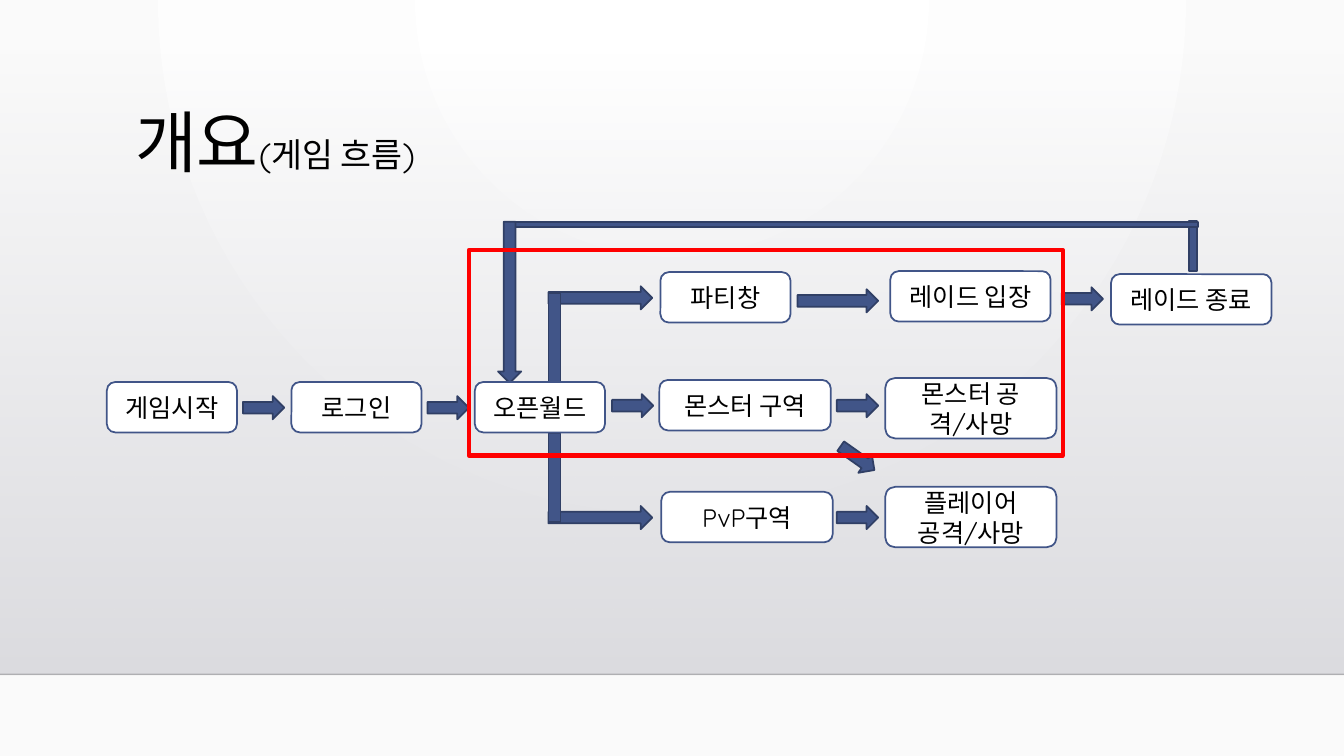
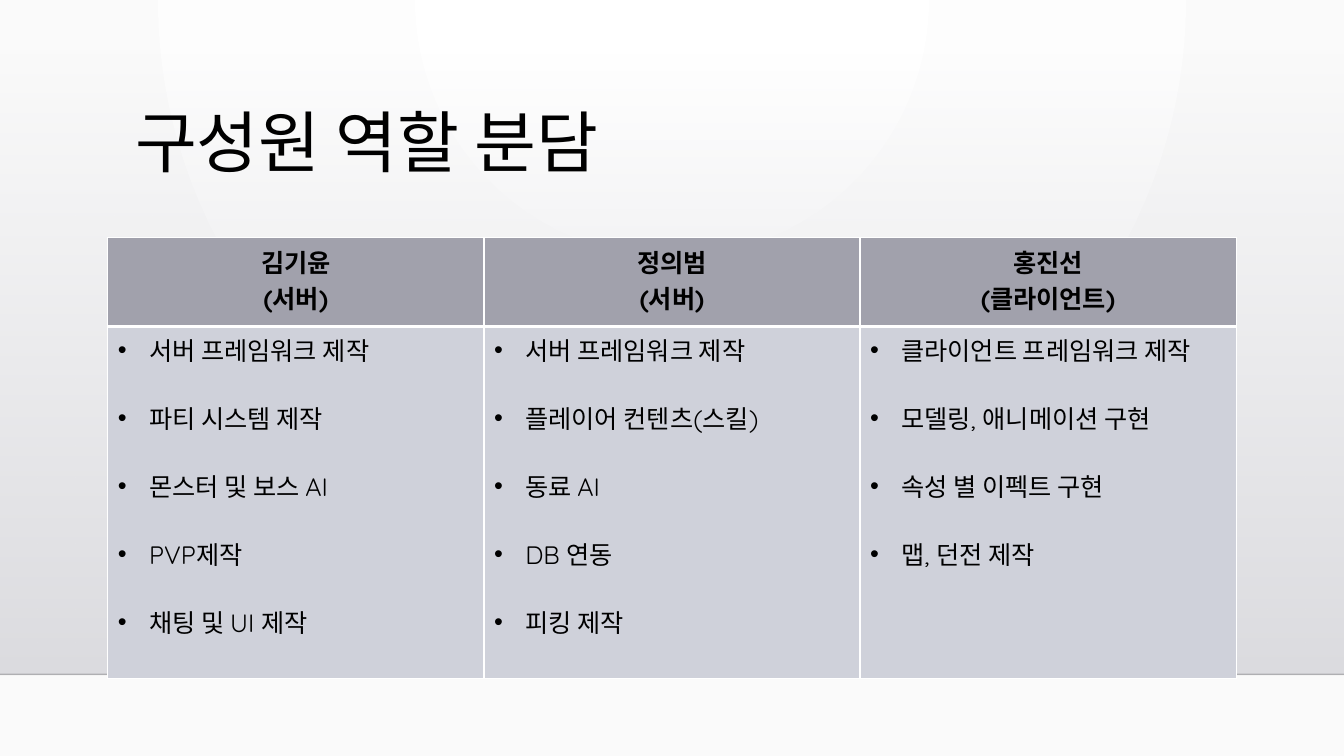
from dataclasses import dataclass

import lxml.etree
import pptx
import pptx.dml.color
import pptx.enum.shapes
import pptx.enum.text
import pptx.oxml
import pptx.oxml.ns
import pptx.util

Inches = pptx.util.Inches
Pt = pptx.util.Pt
RGB = pptx.dml.color.RGBColor.from_string
SHAPE = pptx.enum.shapes.MSO_SHAPE
ALIGN = pptx.enum.text.PP_ALIGN
ANCHOR = pptx.enum.text.MSO_ANCHOR
qn = pptx.oxml.ns.qn


@dataclass(frozen=True)
class Theme:
    font: str = "Quicksand"
    text: str = "000000"
    white: str = "FFFFFF"
    page_edge: str = "FAFAFA"
    band_top: str = "DCDCE0"
    band_bottom: str = "DEDEE2"
    rule: str = "000001"
    flow: str = "415588"
    flow_edge: str = "303F65"
    highlight: str = "FF0000"
    table_head: str = "A1A1AC"
    table_body: str = "CFD1DA"
    title_size: int = 48
    subtitle_size: int = 24
    body_size: int = 18


theme = Theme()


def format_runs(paragraph, size, bold=False):
    for run in paragraph.runs:
        run.font.name = theme.font
        run.font.size = Pt(size)
        run.font.bold = bold
        run.font.color.rgb = RGB(theme.text)


def add_flow_shape(kind, left, top, width, height, fill, line, line_width=1.25):
    """Add a shape measured in inches; a fill of None leaves it hollow."""
    shape = flow_slide.shapes.add_shape(
        kind, Inches(left), Inches(top), Inches(width), Inches(height))
    shape.shadow.inherit = False
    if fill:
        shape.fill.solid()
        shape.fill.fore_color.rgb = RGB(fill)
    else:
        shape.fill.background()
    shape.line.color.rgb = RGB(line)
    shape.line.width = Pt(line_width)
    return shape


presentation = pptx.Presentation()
presentation.slide_width = Inches(13.33)
presentation.slide_height = Inches(7.5)
layout = presentation.slide_layouts.get_by_name("Title Only")

# Page background: a circular glow from the middle of the top edge
background = presentation.slide_master.background.fill
background.gradient()
for stop, color in zip(background.gradient_stops, (theme.white, theme.page_edge)):
    stop.color.rgb = RGB(color)
linear = presentation.slide_master.element.xpath("./p:cSld/p:bg//a:lin")[0]
glow = lxml.etree.Element(qn("a:path"), {"path": "circle"})
lxml.etree.SubElement(glow, qn("a:fillToRect"),
                      {"l": "43000", "t": "0", "r": "43000", "b": "100000"})
linear.getparent().replace(linear, glow)

# Slides and their titles
titles = [[("개요", theme.title_size), ("(게임 흐름)", theme.subtitle_size)],
          [("구성원 역할 분담", theme.title_size)]]
slides = []
for title_runs in titles:
    slide = presentation.slides.add_slide(layout)
    slides.append(slide)
    title = slide.shapes.title
    title.left, title.top = Inches(1.24), Inches(1.04)
    title.width, title.height = Inches(10.5), Inches(1.15)
    title.text_frame.vertical_anchor = ANCHOR.TOP
    paragraph = title.text_frame.paragraphs[0]
    paragraph.alignment = ALIGN.LEFT
    paragraph.line_spacing = 0.9
    for text, size in title_runs:
        paragraph.add_run().text = text
    format_runs(paragraph, theme.title_size)
    for run, (text, size) in zip(paragraph.runs, title_runs):
        run.font.size = Pt(size)
flow_slide, roles_slide = slides

# Band and rule, moved to the layout so that both slides share them
band = flow_slide.shapes.add_shape(
    SHAPE.RECTANGLE, 0, Inches(0.51), presentation.slide_width, Inches(6.18))
band.shadow.inherit = False
band.line.fill.background()
band.fill.gradient()
band.fill.gradient_angle = 270
for stop, color in zip(band.fill.gradient_stops, (theme.band_top, theme.band_bottom)):
    stop.color.rgb = RGB(color)
rule = flow_slide.shapes.add_connector(
    pptx.enum.shapes.MSO_CONNECTOR.STRAIGHT,
    0, Inches(6.69), presentation.slide_width, Inches(6.69))
rule.line.color.rgb = RGB(theme.rule)
rule.line.width = Pt(1)
lxml.etree.SubElement(rule.element.spPr, qn("a:effectLst"))
for shape, color_place, alpha in ((band, ".//a:gs[1]/a:srgbClr", "0"),
                                  (rule, ".//a:ln//a:srgbClr", "20000")):
    color = shape.element.xpath(color_place)[0]
    lxml.etree.SubElement(color, qn("a:alpha"), {"val": alpha})
for position, shape in enumerate((band, rule), start=2):
    layout.shapes.element.insert(position, shape.element)

# Game flow: block arrows and bars
flow_blocks = [
    (SHAPE.RIGHT_ARROW, 2.41, 3.93, 0.41, 0.23, 0),
    (SHAPE.RIGHT_ARROW, 4.24, 3.93, 0.41, 0.23, 0),
    (SHAPE.RIGHT_ARROW, 6.07, 3.91, 0.41, 0.23, 0),
    (SHAPE.RIGHT_ARROW, 8.3, 3.91, 0.41, 0.23, 0),
    (SHAPE.RIGHT_ARROW, 8.3, 5.02, 0.41, 0.23, 0),
    (SHAPE.RIGHT_ARROW, 8.3, 4.43, 0.41, 0.23, 35.3),
    (SHAPE.RIGHT_ARROW, 7.91, 2.87, 0.8, 0.23, 0),
    (SHAPE.RIGHT_ARROW, 10.53, 2.85, 0.41, 0.23, 0),
    (SHAPE.RIGHT_ARROW, 5.44, 2.84, 1.03, 0.23, 0),
    (SHAPE.RECTANGLE, 5.44, 2.91, 0.12, 0.88, 0),
    (SHAPE.RIGHT_ARROW, 5.44, 5.02, 1.03, 0.23, 0),
    (SHAPE.RECTANGLE, 5.44, 4.3, 0.12, 0.88, 0),
    (SHAPE.RECTANGLE, 11.79, 2.19, 0.08, 0.5, 0),
    (SHAPE.RECTANGLE, 5, 2.2, 6.88, 0.05, 0),
    (SHAPE.DOWN_ARROW, 4.94, 2.2, 0.23, 1.6, 0),
]
for kind, left, top, width, height, rotation in flow_blocks:
    block = add_flow_shape(kind, left, top, width, height, theme.flow, theme.flow_edge)
    block.rotation = rotation

# Game flow: steps
steps = [
    ("게임시작", 1.06, 3.79, 1.29, 0.5),
    ("로그인", 2.89, 3.79, 1.29, 0.5),
    ("오픈월드", 4.71, 3.79, 1.29, 0.5),
    ("파티창", 6.55, 2.7, 1.29, 0.5),
    ("레이드 입장", 8.83, 2.69, 1.59, 0.5),
    ("레이드 종료", 11.02, 2.72, 1.59, 0.5),
    ("몬스터 구역", 6.54, 3.77, 1.7, 0.5),
    ("몬스터 공격/사망", 8.78, 3.75, 1.7, 0.6),
    ("PvP구역", 6.56, 4.88, 1.7, 0.5),
    ("플레이어 공격/사망", 8.78, 4.83, 1.7, 0.6),
]
for text, left, top, width, height in steps:
    step = add_flow_shape(SHAPE.ROUNDED_RECTANGLE, left, top, width, height,
                          theme.white, theme.flow)
    step.text_frame.text = text
    step.text_frame.word_wrap = True
    step.text_frame.vertical_anchor = ANCHOR.MIDDLE
    paragraph = step.text_frame.paragraphs[0]
    paragraph.alignment = ALIGN.CENTER
    format_runs(paragraph, theme.body_size)

add_flow_shape(SHAPE.RECTANGLE, 4.65, 2.48, 5.89, 2.04, None, theme.highlight, 3)

# Roles table
members = [
    ("김기윤\n(서버)", ["서버 프레임워크 제작", "파티 시스템 제작", "몬스터 및 보스 AI",
                    "PVP제작", "채팅 및 UI 제작"]),
    ("정의범\n(서버)", ["서버 프레임워크 제작", "플레이어 컨텐츠(스킬)", "동료 AI",
                    "DB 연동", "피킹 제작"]),
    ("홍진선\n(클라이언트)", ["클라이언트 프레임워크 제작", "모델링, 애니메이션 구현",
                       "속성 별 이펙트 구현", "맵, 던전 제작"]),
]
row_heights = (0.88, 3.49)
table = roles_slide.shapes.add_table(
    len(row_heights), len(members), Inches(1.07), Inches(2.36),
    Inches(11.18), Inches(sum(row_heights))).table
table.horz_banding = False
for row, height in zip(table.rows, row_heights):
    row.height = Inches(height)

for column, (member, tasks) in enumerate(members):
    table.columns[column].width = Inches(3.73)
    head, body = table.cell(0, column), table.cell(1, column)
    head.text_frame.text = member
    for paragraph in head.text_frame.paragraphs:
        paragraph.alignment = ALIGN.CENTER
        format_runs(paragraph, theme.body_size, bold=True)

    body.text_frame.text = "\n".join(tasks)
    for paragraph in body.text_frame.paragraphs:
        paragraph.space_after = Pt(22.5)
        format_runs(paragraph, theme.body_size)
        properties = paragraph._p.get_or_add_pPr()
        properties.set("marL", str(Inches(0.31)))
        properties.set("indent", str(Inches(-0.31)))
        lxml.etree.SubElement(properties, qn("a:buFont"), {"typeface": "Arial"})
        lxml.etree.SubElement(properties, qn("a:buChar"), {"char": "•"})

    for cell, color, thick_side in ((head, theme.table_head, "lnB"),
                                    (body, theme.table_body, "lnT")):
        cell.fill.solid()
        cell.fill.fore_color.rgb = RGB(color)
        cell_properties = cell._tc.get_or_add_tcPr()
        for position, side in enumerate(("lnL", "lnR", "lnT", "lnB")):
            width = Pt(3 if side == thick_side else 1)
            border = lxml.etree.Element(qn("a:" + side), {"w": str(width)})
            border_fill = lxml.etree.SubElement(border, qn("a:solidFill"))
            lxml.etree.SubElement(border_fill, qn("a:srgbClr"), {"val": theme.white})
            cell_properties.insert(position, border)

presentation.save("out.pptx")
